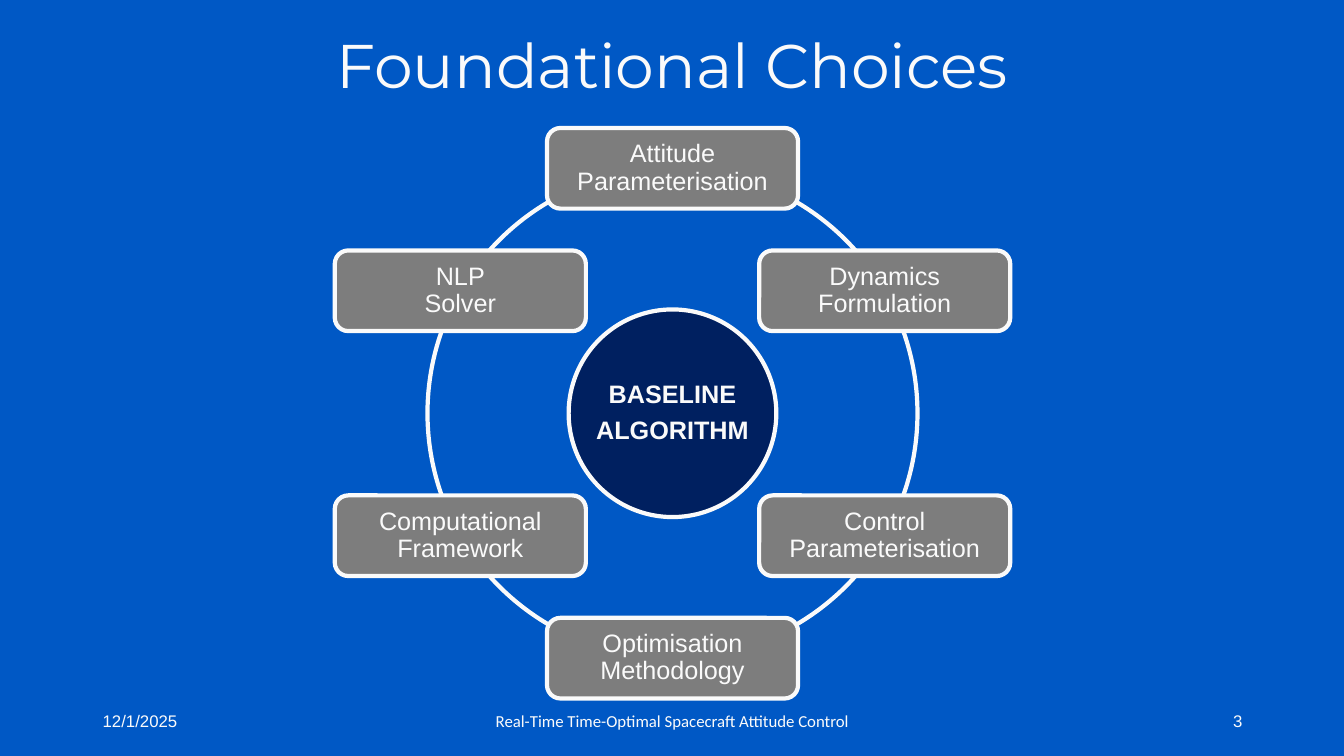
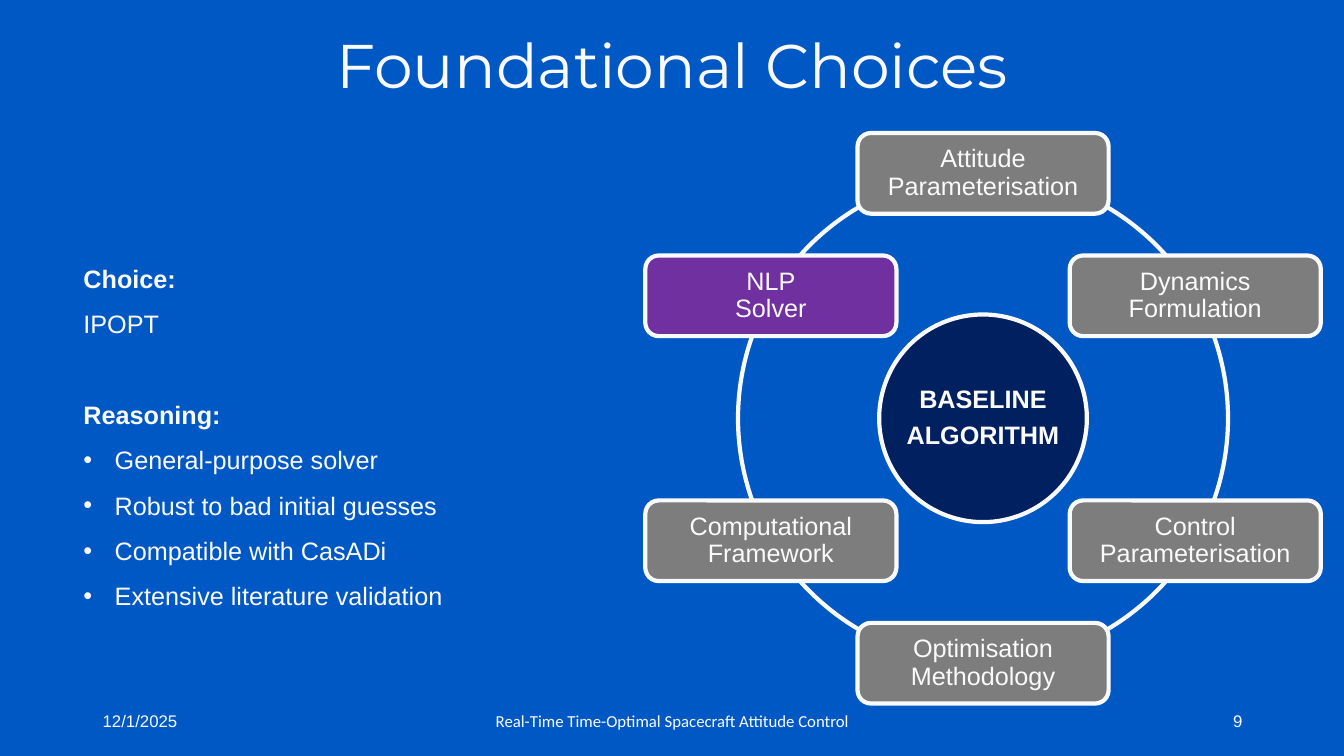
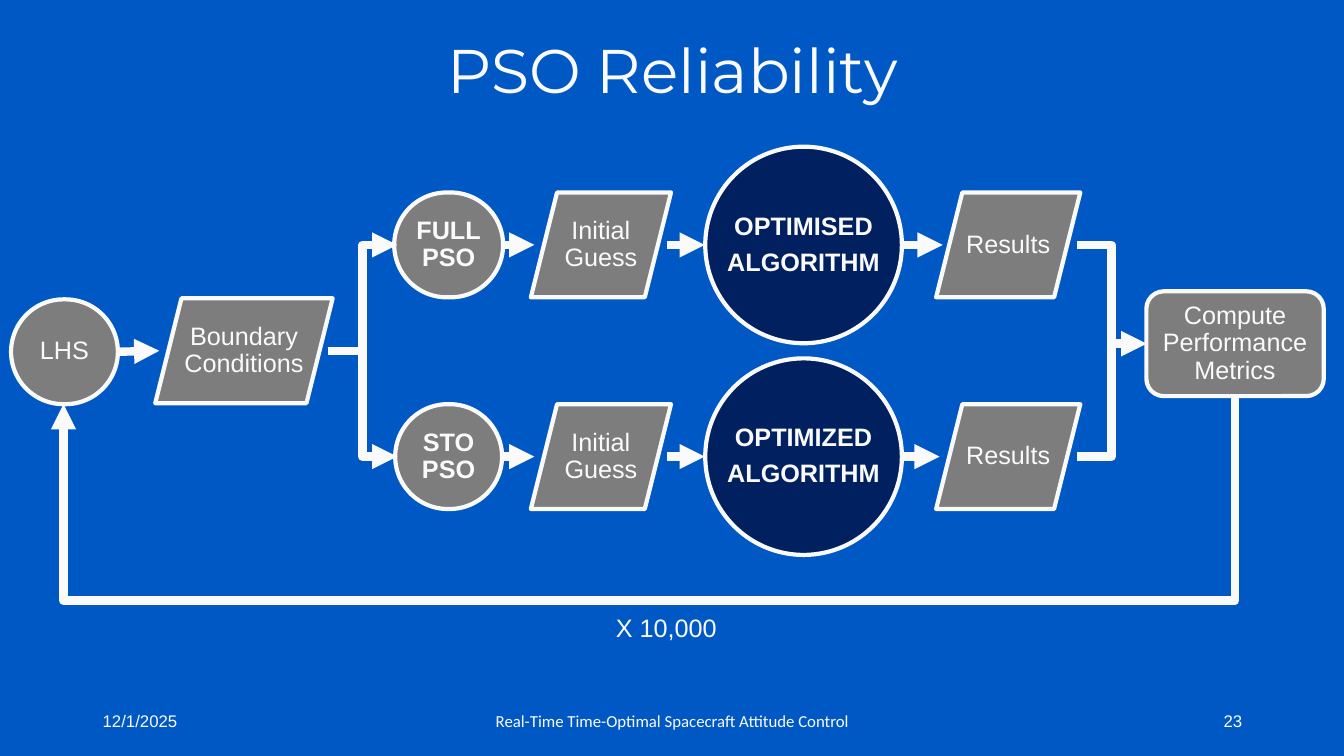
from dataclasses import dataclass
from math import cos, radians, sin
from typing import Optional

from lxml.etree import SubElement
from pptx import Presentation
from pptx.dml.color import RGBColor
from pptx.enum.shapes import MSO_CONNECTOR as Link, MSO_SHAPE as Preset
from pptx.enum.text import MSO_ANCHOR as Anchor, PP_ALIGN as Align
from pptx.oxml.ns import qn
from pptx.util import Inches, Pt

BLUE, NAVY, GREY, PURPLE = "0058C5", "002060", "7D7D7D", "7030A0"
WHITE, FOOTER_WHITE = "FAFAFA", "FBFBFB"

RING_RADIUS = 2.43
CHOICES = (
    "Attitude\nParameterisation", "Dynamics\nFormulation", "Control\nParameterisation",
    "Optimisation\nMethodology", "Computational\nFramework", "NLP\nSolver",
)
FULL_ROW, STO_ROW, LOOP_ROW = 2.43, 4.53, 3.48
FLOW_HEIGHT = 1.04


@dataclass(frozen=True)
class Type:
    size: float = 18
    name: str = "Arial"
    bold: bool = False
    colour: str = WHITE


@dataclass(frozen=True)
class Node:
    """A filled shape placed by its centre; each text item is a paragraph."""
    text: tuple[str, ...]
    x: float
    y: float
    width: float
    height: float = FLOW_HEIGHT
    preset: Preset = Preset.ROUNDED_RECTANGLE
    fill: Optional[str] = GREY
    bold: bool = False
    corner: Optional[float] = None


@dataclass(frozen=True)
class Arrow:
    start: tuple[float, float]
    end: tuple[float, float]
    link: Link = Link.STRAIGHT
    source: Optional[str] = None


@dataclass(frozen=True)
class Line:
    text: str
    bold: bool = False
    bullet: bool = False
    gap_before: float = 0


TITLE = Type(44, "Montserrat")
FOOTER = Type(12, colour=FOOTER_WHITE)
FOOTER_NAME = Type(12, "Calibri", colour=FOOTER_WHITE)


def hex_colour(value: str) -> RGBColor:
    return RGBColor.from_string(value)


def write(para, text: str, style: Type, **formats) -> None:
    """Fill a paragraph; a newline in the text is a line break."""
    para.text = text
    for key, value in formats.items():
        setattr(para, key, value)
    for span in para.runs:
        font_format = {"size": Pt(style.size), "name": style.name, "bold": style.bold}
        for key, value in font_format.items():
            setattr(span.font, key, value)
        span.font.color.rgb = hex_colour(style.colour)


def add_text_box(page, left: float, top: float, width: float, height: float,
                 anchor: Anchor = Anchor.MIDDLE):
    box = page.shapes.add_textbox(Inches(left), Inches(top), Inches(width), Inches(height))
    box.text_frame.word_wrap = True
    box.text_frame.vertical_anchor = anchor
    return box.text_frame


def add_label(page, text: str, left: float, top: float, width: float, height: float,
              style: Type, align: Align = Align.LEFT, **formats) -> None:
    frame = add_text_box(page, left, top, width, height)
    write(frame.paragraphs[0], text, style, alignment=align, **formats)


def add_page(deck, title: str, number: int, title_height: float):
    page = deck.slides.add_slide(deck.slide_layouts[6])
    add_label(page, title, 0.92, 0, 11.5, title_height, TITLE, Align.CENTER, line_spacing=0.9)
    add_label(page, "12/1/2025", 0.92, 6.95, 3, 0.4, FOOTER)
    add_label(page, "Real-Time Time-Optimal Spacecraft Attitude Control",
              4.42, 6.95, 4.5, 0.4, FOOTER_NAME, Align.CENTER)
    add_label(page, str(number), 9.42, 6.95, 3, 0.4, FOOTER, Align.RIGHT)
    return page


def add_node(page, node: Node):
    shape = page.shapes.add_shape(
        node.preset, Inches(node.x - node.width / 2), Inches(node.y - node.height / 2),
        Inches(node.width), Inches(node.height))
    shape.shadow.inherit = False
    if node.corner is not None:
        shape.adjustments[0] = node.corner
    if node.fill:
        shape.fill.solid()
        shape.fill.fore_color.rgb = hex_colour(node.fill)
    else:
        shape.fill.background()
    shape.line.color.rgb = hex_colour(WHITE)
    shape.line.width = Pt(3)
    frame = shape.text_frame
    frame_format = {
        "margin_left": 0, "margin_right": 0, "margin_top": 0, "margin_bottom": 0,
        "vertical_anchor": Anchor.MIDDLE, "word_wrap": node.preset != Preset.OVAL,
    }
    for key, value in frame_format.items():
        setattr(frame, key, value)
    for index, text in enumerate(node.text):
        para = frame.add_paragraph() if index else frame.paragraphs[0]
        write(para, text, Type(bold=node.bold), alignment=Align.CENTER,
              line_spacing=0.9, space_after=Pt(6.3))
    return shape


def algorithm(name: str, x: float, y: float, diameter: float) -> Node:
    return Node((name, "ALGORITHM"), x, y, diameter, diameter, Preset.OVAL, NAVY, True)


def add_cycle(page, x: float, y: float, highlight: str = "") -> None:
    """Draw the ring of choices around the baseline algorithm."""
    diameter = 2 * RING_RADIUS
    add_node(page, Node((), x, y, diameter, diameter, Preset.OVAL, None))
    for index, choice in enumerate(CHOICES):
        angle = radians(index * 360 / len(CHOICES) - 90)
        fill = PURPLE if choice == highlight else GREY
        add_node(page, Node((choice,), x + RING_RADIUS * cos(angle),
                            y + RING_RADIUS * sin(angle), 2.49, 0.8, fill=fill))
    add_node(page, algorithm("BASELINE", x, y, 2.06))


def add_arrow(page, arrow: Arrow, shapes: dict):
    connector = page.shapes.add_connector(
        arrow.link, *(Inches(value) for value in arrow.start + arrow.end))
    if arrow.source:
        connector.begin_connect(shapes[arrow.source], 3)
    connector.line.color.rgb = hex_colour(WHITE)
    connector.line.width = Pt(6)
    properties = connector.element.spPr
    SubElement(properties.find(qn("a:ln")), qn("a:tailEnd"), type="triangle")
    SubElement(properties, qn("a:effectLst"))
    return connector


def add_return_arrow(page, start: tuple[float, float], end: tuple[float, float],
                     floor: float) -> None:
    """Draw an elbow that leaves downwards, runs left along floor and rises to end."""
    middle_x, middle_y = (start[0] + end[0]) / 2, (start[1] + end[1]) / 2
    span, rise = start[0] - end[0], end[1] - start[1]
    connector = add_arrow(page, Arrow(
        (middle_x - rise / 2, middle_y - span / 2),
        (middle_x + rise / 2, middle_y + span / 2), Link.ELBOW), {})
    properties = connector.element.spPr
    properties.find(qn("a:xfrm")).set("rot", str(90 * 60000))
    guides = properties.find(qn("a:prstGeom")).find(qn("a:avLst"))
    bend = round((floor - start[1]) / rise * 100000)
    SubElement(guides, qn("a:gd"), name="adj1", fmla=f"val {bend}")


def add_reasoning(page, lines: tuple[Line, ...]) -> None:
    frame = add_text_box(page, 0.73, 2.41, 5.13, 3.68, Anchor.TOP)
    for index, line in enumerate(lines):
        para = frame.add_paragraph() if index else frame.paragraphs[0]
        write(para, line.text, Type(bold=line.bold), line_spacing=1.5,
              space_before=Pt(line.gap_before))
        if line.bullet:
            properties = para._p.get_or_add_pPr()
            properties.set("marL", str(Inches(0.31)))
            properties.set("indent", str(-Inches(0.31)))
            SubElement(properties, qn("a:buFont"), typeface="Arial")
            SubElement(properties, qn("a:buChar"), char="•")


def build_overview(deck) -> None:
    add_cycle(add_page(deck, "Foundational Choices", 3, 1.37), 6.67, 4.1)


def build_solver_choice(deck) -> None:
    page = add_page(deck, "Foundational Choices", 9, 1.37)
    add_cycle(page, 9.75, 4.15, highlight="NLP\nSolver")
    add_reasoning(page, (
        Line("Choice:", bold=True),
        Line("IPOPT"),
        Line("Reasoning:", bold=True, gap_before=32.5),
        Line("General-purpose solver", bullet=True),
        Line("Robust to bad initial guesses", bullet=True),
        Line("Compatible with CasADi", bullet=True),
        Line("Extensive literature validation", bullet=True),
    ))


def build_reliability(deck) -> None:
    page = add_page(deck, "PSO Reliability", 23, 1.45)
    slanted = Preset.PARALLELOGRAM
    nodes = {
        "samples": Node(("LHS",), 0.64, 3.49, 1.06, corner=0.5),
        "conditions": Node(("Boundary Conditions",), 2.42, LOOP_ROW, 1.76, preset=slanted),
        "metrics": Node(("Compute\nPerformance\nMetrics",), 12.25, 3.41, 1.76),
    }
    arrows = [Arrow((1.17, 3.49), (1.58, LOOP_ROW), source="samples")]
    rows = (
        ("FULL", FULL_ROW, 1.08, "OPTIMISED", 9.35),
        ("STO", STO_ROW, 1.06, "OPTIMIZED", 9.32),
    )
    for name, y, width, adjective, results_x in rows:
        nodes |= {
            name: Node((f"{name}\nPSO",), 4.45, y, width, bold=True, corner=0.5),
            f"{name} guess": Node(("Initial\nGuess",), 5.96, y, 1.39, preset=slanted),
            f"{name} algorithm": algorithm(adjective, 7.97, y, 1.95),
            f"{name} results": Node(("Results",), 10, y, 1.43, preset=slanted),
        }
        arrows += [
            Arrow((3.25, LOOP_ROW), (3.94, y), Link.ELBOW),
            Arrow((4.98, y), (5.3, y), source=name),
            Arrow((6.62, y), (6.99, y)),
            Arrow((8.94, y), (results_x, y)),
            Arrow((10.68, y), (11.37, 3.41), Link.ELBOW),
        ]
    shapes = {name: add_node(page, node) for name, node in nodes.items()}
    for arrow in arrows:
        add_arrow(page, arrow, shapes)
    add_return_arrow(page, (12.25, 3.93), (0.63, 4.01), 5.96)
    add_label(page, "X 10,000", 6.01, 6.02, 2.22, 0.4, Type())


def main() -> None:
    deck = Presentation()
    deck.slide_width, deck.slide_height = Inches(13.33), Inches(7.5)
    background = deck.slide_master.background.fill
    background.solid()
    background.fore_color.rgb = hex_colour(BLUE)
    for build in (build_overview, build_solver_choice, build_reliability):
        build(deck)
    deck.save("out.pptx")


if __name__ == "__main__":
    main()
